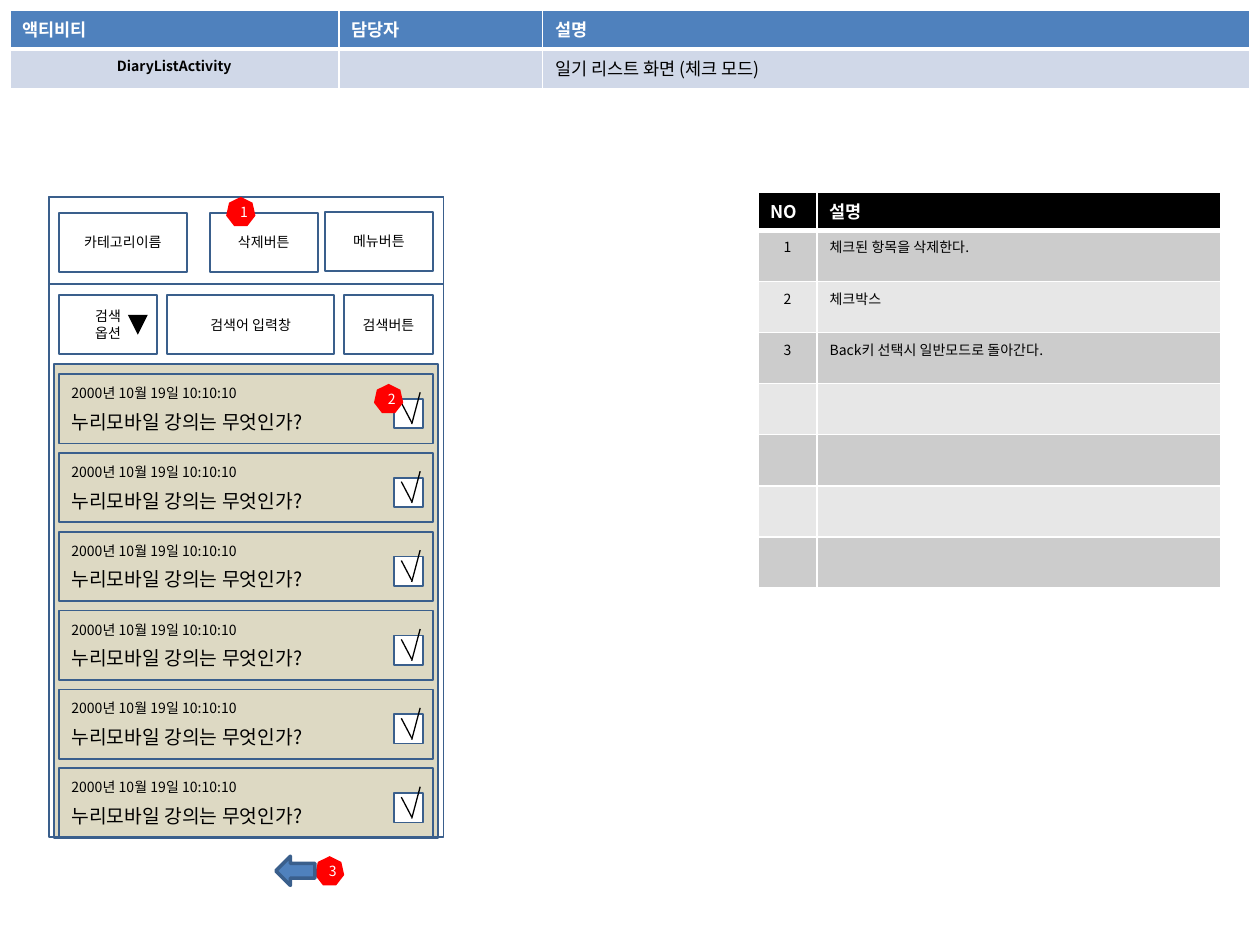
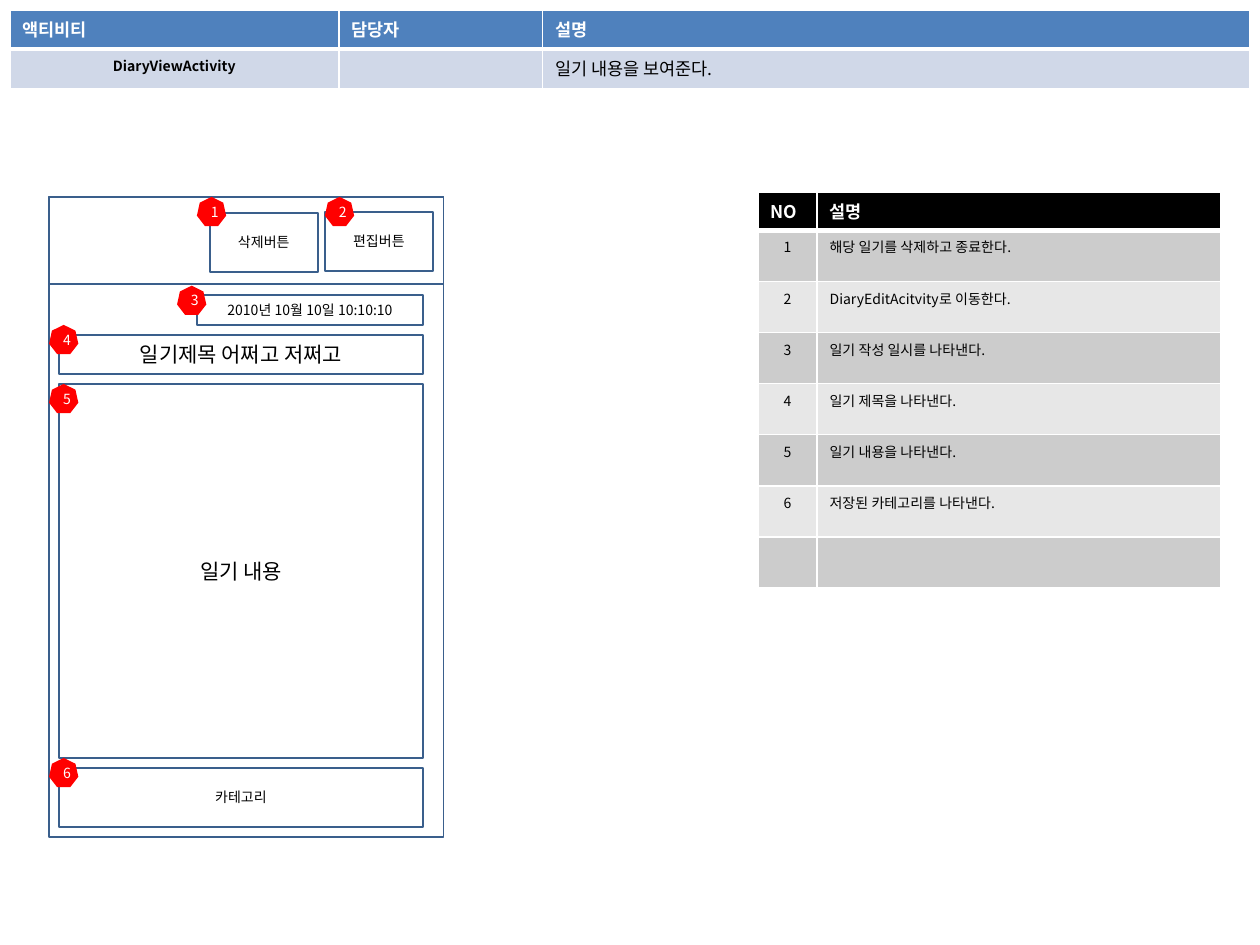
from dataclasses import dataclass

from lxml.etree import SubElement
from pptx import Presentation
from pptx.dml.color import RGBColor
from pptx.enum.shapes import MSO_CONNECTOR, MSO_SHAPE
from pptx.enum.text import MSO_ANCHOR, PP_ALIGN
from pptx.oxml.ns import qn
from pptx.util import Cm, Pt


@dataclass(frozen=True)
class Theme:
    font: str = "Noto Sans CJK KR"
    white: str = "FFFFFF"
    black: str = "000000"
    blue: str = "4F81BD"
    pale_blue: str = "D0D8E8"
    outline: str = "3A5F8C"
    sand: str = "DDD9C3"
    red: str = "FF0000"
    grays: tuple = ("CCCCCC", "E7E7E7")
    small: int = 8
    heading: int = 10
    entry: int = 11
    large: int = 12


THEME = Theme()
SCREEN = (0.99, 3.97, 7.95, 12.9)
INNER_LEFT = 1.19
BUTTON_HEIGHT = 1.19
BADGE_SIZE = 0.59
ENTRY_TOP, ENTRY_PITCH, ENTRY_COUNT = 7.54, 1.59, 6
CHECK_STROKES = [(0.15, 0.08, 0.36, 0.48), (0.53, -0.13, 0.36, 0.51)]
GUIDE_ROWS = 7


def apply_format(target, values):
    for name, value in values.items():
        setattr(target, name, value)


def write_line(para, text, size, color=THEME.black, bold=False, align=PP_ALIGN.CENTER):
    para.alignment = align
    if not text:
        SubElement(para._p, qn("a:endParaRPr"), sz=str(size * 100))
        return
    span = para.add_run()
    span.text = text
    apply_format(span.font, {"size": Pt(size), "bold": bold, "name": THEME.font})
    span.font.color.rgb = RGBColor.from_string(color)
    SubElement(span._r.get_or_add_rPr(), qn("a:ea"), typeface=THEME.font)


def write_lines(box, lines, **style):
    apply_format(box.text_frame, {"word_wrap": True, "vertical_anchor": MSO_ANCHOR.MIDDLE})
    for index, (text, size) in enumerate(lines):
        para = box.text_frame.add_paragraph() if index else box.text_frame.paragraphs[0]
        write_line(para, text, size, **style)


def add_box(shapes, place, kind=MSO_SHAPE.RECTANGLE, fill=None, line=THEME.outline, width=1):
    box = shapes.add_shape(kind, *[Cm(value) for value in place])
    box.shadow.inherit = False
    if fill:
        box.fill.solid()
        box.fill.fore_color.rgb = RGBColor.from_string(fill)
    else:
        box.fill.background()
    if line:
        box.line.color.rgb = RGBColor.from_string(line)
        box.line.width = Pt(width)
    else:
        box.line.fill.background()
    return box


def add_label(page, place, *texts, size=THEME.small):
    write_lines(add_box(page.shapes, place), [(text, size) for text in texts])


def add_badge(page, number, left, top):
    badge = add_box(page.shapes, (left, top, BADGE_SIZE, BADGE_SIZE),
                    MSO_SHAPE.HEPTAGON, THEME.red, None)
    write_lines(badge, [(str(number), THEME.small)], color=THEME.white)


def add_stroke(shapes, ends):
    stroke = shapes.add_connector(MSO_CONNECTOR.STRAIGHT, *[Cm(value) for value in ends])
    stroke.line.color.rgb = RGBColor.from_string(THEME.black)
    stroke.line.width = Pt(0.75)
    SubElement(stroke._element.spPr, qn("a:effectLst"))


def add_checkbox(page, left, top):
    group = page.shapes.add_group_shape()
    add_box(group.shapes, (left, top, BADGE_SIZE, BADGE_SIZE),
            MSO_SHAPE.FLOWCHART_PROCESS, THEME.white)
    for x1, y1, x2, y2 in CHECK_STROKES:
        add_stroke(group.shapes, (left + x1, top + y1, left + x2, top + y2))


def add_entry(page, top):
    box = add_box(page.shapes, (INNER_LEFT, top, 7.54, 1.4))
    write_lines(box, [("2000년 10월 19일 10:10:10", THEME.small),
                      ("누리모바일 강의는 무엇인가?", THEME.entry)], align=PP_ALIGN.LEFT)
    box.text_frame.paragraphs[1].space_before = Pt(5)


def set_borders(cell, row):
    widths = {"L": 1, "R": 1, "T": 3 if row == 1 else 1, "B": 3 if row == 0 else 1}
    properties = cell._tc.get_or_add_tcPr()
    for side, width in widths.items():
        border = SubElement(properties, qn(f"a:ln{side}"), w=str(Pt(width)))
        fill = SubElement(border, qn("a:solidFill"))
        SubElement(fill, qn("a:srgbClr"), val=THEME.white)


def add_table(page, left, top, columns, heights, rows, head_fill, body_fills, style):
    frame = page.shapes.add_table(len(rows), len(columns), Cm(left), Cm(top),
                                  Cm(sum(columns)), Cm(sum(heights)))
    table = frame.table
    for column, width in zip(table.columns, columns):
        column.width = Cm(width)
    for index, texts in enumerate(rows):
        table.rows[index].height = Cm(heights[index])
        for column, text in enumerate(texts):
            cell = table.cell(index, column)
            set_borders(cell, index)
            cell.fill.solid()
            fill = body_fills[(index - 1) % len(body_fills)] if index else head_fill
            cell.fill.fore_color.rgb = RGBColor.from_string(fill)
            look = style[column] if index else {
                "size": THEME.heading, "color": THEME.white, "bold": True, "align": PP_ALIGN.LEFT}
            write_line(cell.text_frame.paragraphs[0], text, **look)


def add_summary(page, activity, description):
    rows = [("액티비티", "담당자", "설명"), (activity, "", description)]
    style = [{"size": THEME.small, "bold": True}, {"size": THEME.small},
             {"size": THEME.heading, "align": PP_ALIGN.LEFT}]
    add_table(page, 0.2, 0.2, (6.63, 4.11, 14.25), (0.79, 0.79), rows,
              THEME.blue, (THEME.pale_blue,), style)


def add_guide(page, notes):
    rows = [("NO", "설명")] + [(str(number), note) for number, note in enumerate(notes, 1)]
    rows += [("", "")] * (GUIDE_ROWS - len(notes))
    style = [{"size": THEME.small}, {"size": THEME.small, "align": PP_ALIGN.LEFT}]
    add_table(page, 15.28, 3.88, (1.19, 8.13), [0.69] + [1.03] * GUIDE_ROWS, rows,
              THEME.black, THEME.grays, style)


def add_screen(page, last_button):
    left, top, width, height = SCREEN
    add_box(page.shapes, SCREEN)
    add_box(page.shapes, (left, top, width, 1.75))
    add_label(page, (4.23, 4.29, 2.18, BUTTON_HEIGHT), "삭제버튼")
    add_label(page, (6.55, 4.27, 2.18, BUTTON_HEIGHT), last_button)


def add_search_bar(page):
    for left, width, texts in [(INNER_LEFT, 1.98, ("검색", "옵션")),
                               (3.37, 3.37, ("검색어 입력창",)),
                               (6.94, 1.79, ("검색버튼",))]:
        add_label(page, (left, 5.95, width, BUTTON_HEIGHT), *texts)
    arrow = add_box(page.shapes, (2.58, 6.35, 0.4, 0.4),
                    MSO_SHAPE.ISOSCELES_TRIANGLE, THEME.black, None)
    arrow._element.spPr.xfrm.set("flipV", "1")


def build_list_page(deck):
    page = deck.slides.add_slide(deck.slide_layouts[6])
    add_box(page.shapes, (1.09, 7.34, 7.74, 9.55), fill=THEME.sand)
    add_summary(page, "DiaryListActivity", "일기 리스트 화면 (체크 모드)")
    add_screen(page, "메뉴버튼")
    add_label(page, (INNER_LEFT, 4.29, 2.58, BUTTON_HEIGHT), "카테고리이름")
    add_search_bar(page)
    for index in range(ENTRY_COUNT):
        top = ENTRY_TOP + index * ENTRY_PITCH
        add_entry(page, top)
        add_checkbox(page, 7.94, top + 0.5)
    add_guide(page, ["체크된 항목을 삭제한다.", "체크박스", "Back키 선택시 일반모드로 돌아간다."])
    for number, place in enumerate([(4.56, 3.97), (7.54, 7.74), (6.35, 17.26)], 1):
        add_badge(page, number, *place)
    add_box(page.shapes, (5.56, 17.26, 0.79, BADGE_SIZE),
            MSO_SHAPE.LEFT_ARROW, THEME.blue, width=2)


def build_view_page(deck):
    page = deck.slides.add_slide(deck.slide_layouts[6])
    add_summary(page, "DiaryViewActivity", "일기 내용을 보여준다.")
    add_screen(page, "편집버튼")
    add_guide(page, ["해당 일기를 삭제하고 종료한다.", "DiaryEditAcitvity로 이동한다.",
                     "일기 작성 일시를 나타낸다.", "일기 제목을 나타낸다.",
                     "일기 내용을 나타낸다.", "저장된 카테고리를 나타낸다."])
    add_label(page, (3.97, 5.95, 4.56, 0.6), "2010년 10월 10일 10:10:10")
    for top, height, text, size in [(6.75, 0.79, "일기제목 어쩌고 저쩌고", THEME.large),
                                    (7.74, 7.54, "일기 내용", THEME.large),
                                    (15.48, BUTTON_HEIGHT, "카테고리", THEME.small)]:
        add_label(page, (INNER_LEFT, top, 7.34, height), text, size=size)
    places = [(3.97, 3.97), (6.55, 3.97), (3.57, 5.76), (0.99, 6.55), (0.99, 7.74), (0.99, 15.28)]
    for number, place in enumerate(places, 1):
        add_badge(page, number, *place)


def main():
    deck = Presentation()
    apply_format(deck, {"slide_width": Cm(25.4), "slide_height": Cm(19.05)})
    build_list_page(deck)
    build_view_page(deck)
    deck.save("out.pptx")


main()
